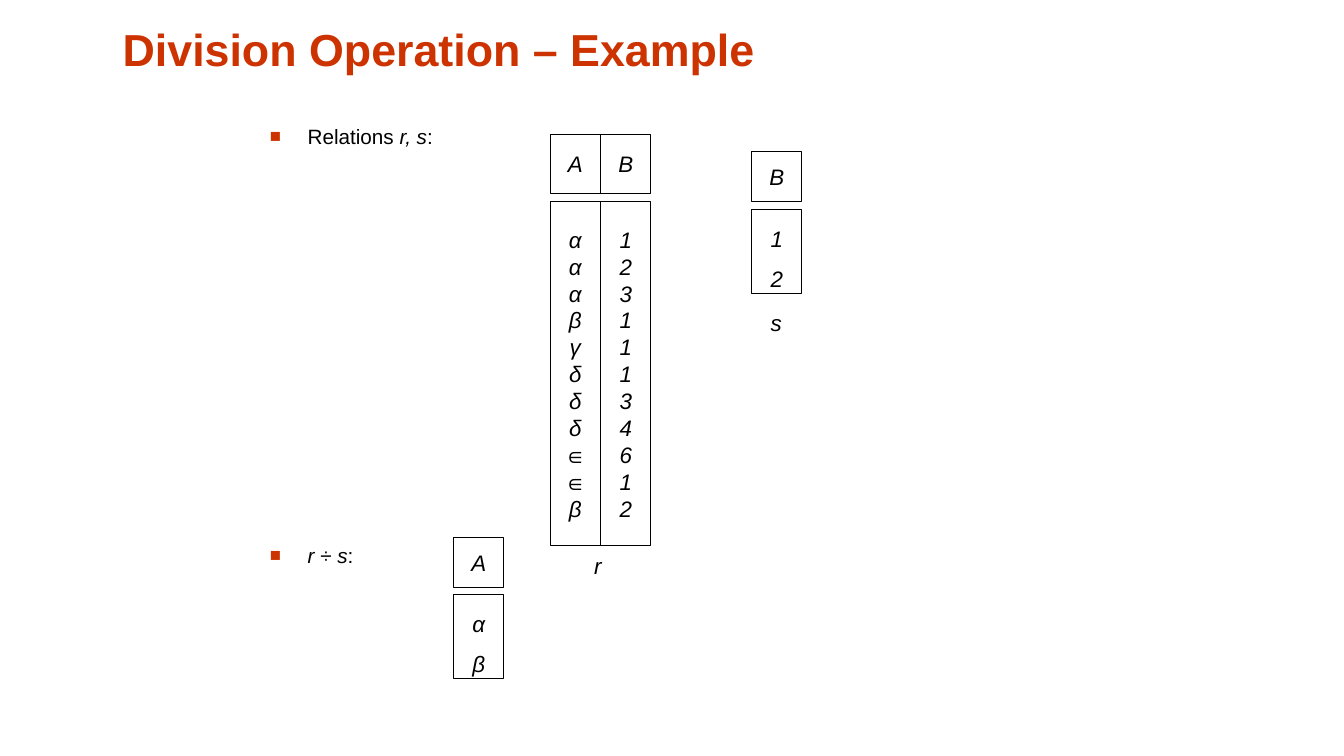
from pptx import Presentation
from pptx.dml.color import RGBColor
from pptx.enum.shapes import MSO_SHAPE
from pptx.enum.text import MSO_ANCHOR, PP_ALIGN
from pptx.util import Pt
from lxml.etree import SubElement
from pptx.oxml.ns import qn

RED = RGBColor(0xCC, 0x33, 0x00)
BLACK = RGBColor(0, 0, 0)
WHITE = RGBColor(0xFF, 0xFF, 0xFF)
COL_W = 36

prs = Presentation()
prs.slide_width, prs.slide_height = Pt(960.5), Pt(540)
s = prs.slides.add_slide(prs.slide_layouts[6])


def add_text(p, text, **fmt):
    r = p.add_run()
    r.text = text
    font = {"name": "Arial", "size": Pt(16), "italic": True, **fmt}
    color = font.pop("color", BLACK)
    for key, value in font.items():
        setattr(r.font, key, value)
    r.font.color.rgb = color


def fill_lines(sp, lines, **spacing):
    """Centre one paragraph per entry of lines in the shape."""
    tf = sp.text_frame
    tf.word_wrap = False
    tf.vertical_anchor = MSO_ANCHOR.MIDDLE
    for i, line in enumerate(lines):
        p = tf.add_paragraph() if i else tf.paragraphs[0]
        p.alignment = PP_ALIGN.CENTER
        for key, value in spacing.items():
            setattr(p, key, value)
        add_text(p, line)


# Title
title = s.shapes.add_textbox(Pt(80.6), Pt(9.4), Pt(848), Pt(48.2))
title.text_frame.word_wrap = True
title.text_frame.vertical_anchor = MSO_ANCHOR.BOTTOM
add_text(title.text_frame.paragraphs[0], "Division Operation – Example",
         size=Pt(32), bold=True, italic=False, color=RED)

# Bulleted labels: top, then (text, italic) runs
labels = [
    (85, [("Relations ", False), ("r, s", True), (":", False)]),
    (383.8, [("r ", True), ("÷ ", False), ("s", True), (":", False)]),
]
for top, runs in labels:
    tb = s.shapes.add_textbox(Pt(185.8), Pt(top), Pt(553.7), Pt(26))
    tb.text_frame.word_wrap = True
    p = tb.text_frame.paragraphs[0]
    p.space_before = Pt(7)
    pPr = p._p.get_or_add_pPr()
    pPr.set("marL", str(Pt(27)))
    pPr.set("indent", str(Pt(-27)))
    SubElement(SubElement(pPr, qn("a:buClr")), qn("a:srgbClr"), val=str(RED))
    SubElement(pPr, qn("a:buSzPct"), val="90000")
    SubElement(pPr, qn("a:buFont"), typeface="Arial")
    SubElement(pPr, qn("a:buChar"), char="■")
    for text, italic in runs:
        add_text(p, text, size=Pt(14.8), italic=italic)

# Relations: left, head top and height, body top and height, line spacing, columns
relations = [
    (324.2, 384, 36, 424.8, 60, 1.5, {"A": "αβ"}),
    (537.2, 108, 36, 149.8, 60, 1.5, {"B": "12"}),
    (393.2, 96, 42, 144, 246, 1.0, {"A": "αααβγδδδ∈∈β", "B": "12311134612"}),
]
for left, head_top, head_h, body_top, body_h, spacing, columns in relations:
    for i, (name, values) in enumerate(columns.items()):
        for top, height, lines, line_spacing in (
                (head_top, head_h, name, 1.0), (body_top, body_h, values, spacing)):
            sp = s.shapes.add_shape(MSO_SHAPE.RECTANGLE, Pt(left + i * COL_W),
                                    Pt(top), Pt(COL_W), Pt(height))
            sp.shadow.inherit = False
            sp.fill.solid()
            sp.fill.fore_color.rgb = WHITE
            sp.line.color.rgb = BLACK
            sp.line.width = Pt(0.75)
            fill_lines(sp, lines, line_spacing=line_spacing)

# Relation names
for name, left, top, width in (("r", 417.6, 391, 19.4), ("s", 543.6, 217.4, 22.3)):
    tb = s.shapes.add_textbox(Pt(left), Pt(top), Pt(width), Pt(26.6))
    fill_lines(tb, name, space_before=Pt(10))

prs.save("out.pptx")
